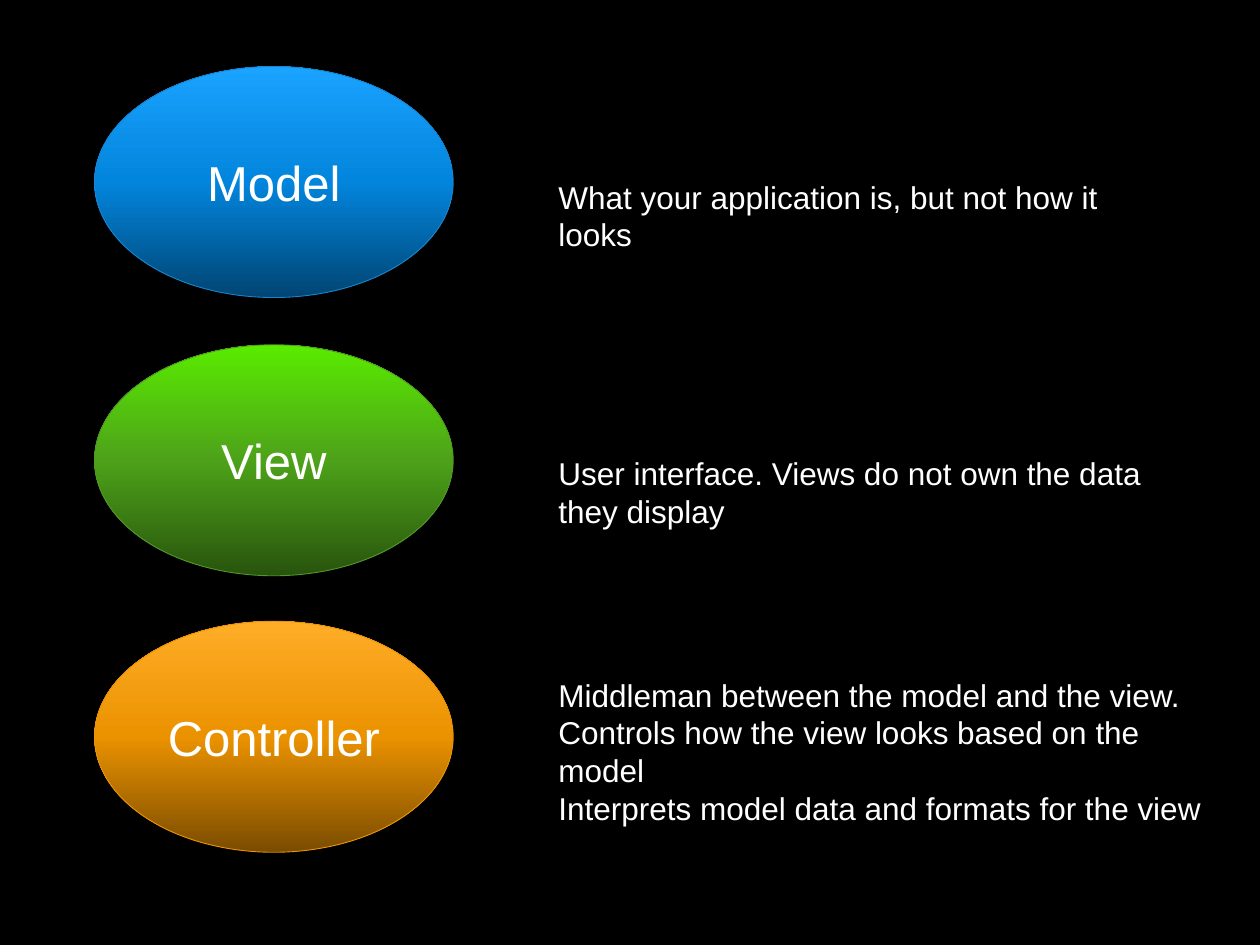
from copy import deepcopy

from pptx import Presentation
from pptx import util as u
from pptx.dml.color import RGBColor
from pptx.enum import shapes, text
from pptx.oxml.ns import qn


def tint(code):
    return RGBColor.from_string(code)


class Deck:
    font = "Arial"
    ink = "FFFFFF"

    def __init__(self, wide, high):
        self.deck = Presentation()
        self.deck.slide_width = u.Pt(wide)
        self.deck.slide_height = u.Pt(high)
        self.slide = self.deck.slides.add_slide(self.deck.slide_layouts[6])

    def back(self, color):
        fill = self.slide.background.fill
        fill.solid()
        fill.fore_color.rgb = tint(color)

    def label(self, frame, lines, size, align):
        frame.word_wrap = True
        frame.text = "\n".join(lines)
        for par in frame.paragraphs:
            par.alignment = align
            par.font.name = self.font
            par.font.size = u.Pt(size)
            par.font.color.rgb = tint(self.ink)

    def blend(self, shape, colors):
        fill = shape.fill
        fill.gradient()
        fill.gradient_angle = 90
        stops = shape._element.spPr.find(qn("a:gradFill")).find(qn("a:gsLst"))
        stops.insert(1, deepcopy(stops[0]))
        for i, (stop, color) in enumerate(zip(fill.gradient_stops, colors)):
            stop.position = i / 2
            stop.color.rgb = tint(color)

    def oval(self, box, name, colors, edge):
        shape = self.slide.shapes.add_shape(
            shapes.MSO_SHAPE.OVAL, *map(u.Pt, box))
        shape.shadow.inherit = False
        self.blend(shape, colors)
        shape.line.color.rgb = tint(edge)
        shape.line.width = u.Pt(0.5)
        shape.text_frame.vertical_anchor = text.MSO_ANCHOR.MIDDLE
        self.label(shape.text_frame, [name], 28, text.PP_ALIGN.CENTER)

    def note(self, box, lines):
        frame = self.slide.shapes.add_textbox(*map(u.Pt, box)).text_frame
        self.label(frame, lines, 18, text.PP_ALIGN.LEFT)


def main():
    page = Deck(720, 540)
    page.back("000000")
    parts = [
        ("Model", 38, ("014573", "0285DD", "1AA3FF"), "1884CD",
         (98, 367, 29), ["What your application is, but not how it looks"]),
        ("View", 197, ("28540D", "4DA219", "5AEB00"), "529827",
         (256, 367, 51),
         ["User interface. Views do not own the data they display"]),
        ("Controller", 355, ("7A4C00", "EB9200", "FFAD28"), "E89308",
         (382.5, 388, 73),
         ["Middleman between the model and the view.",
          "Controls how the view looks based on the model",
          "Interprets model data and formats for the view"]),
    ]
    for name, top, colors, edge, area, lines in parts:
        page.oval((54, top, 205, 132), name, colors, edge)
        page.note((312, *area), lines)
    page.deck.save("out.pptx")


if __name__ == "__main__":
    main()
